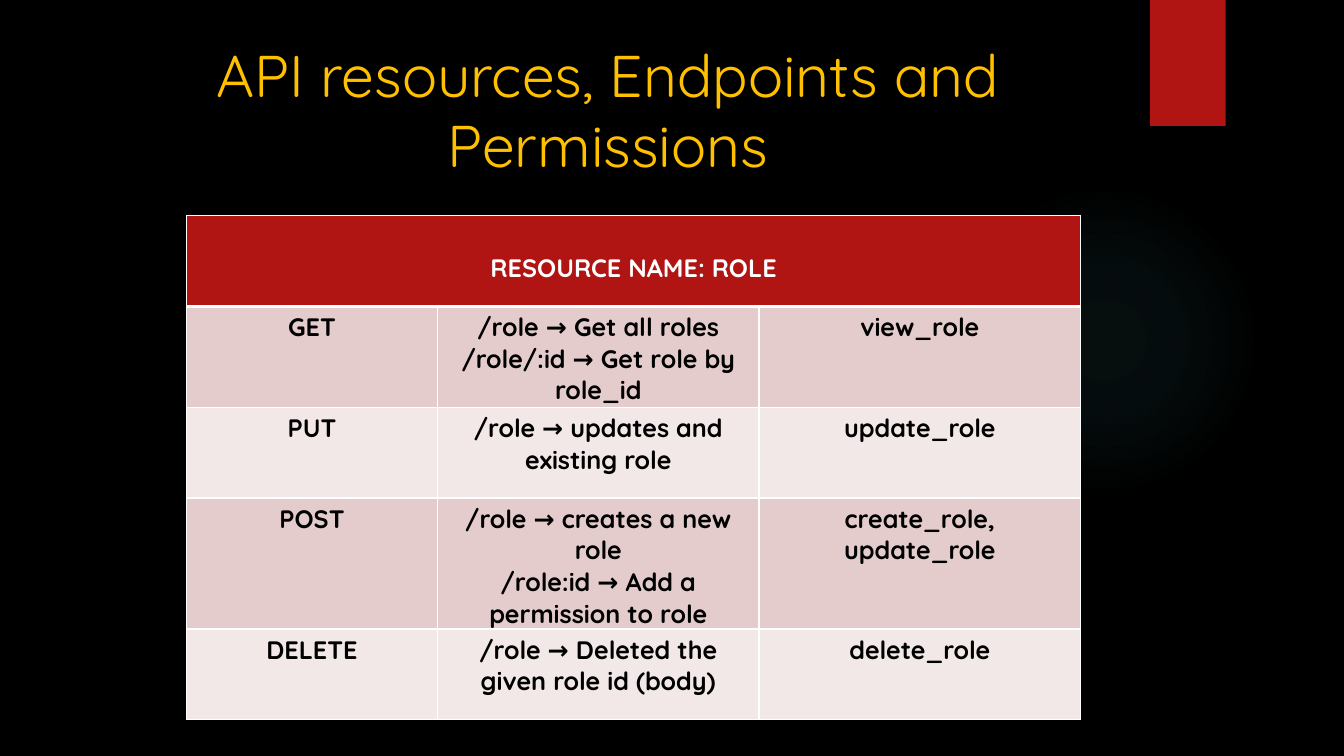
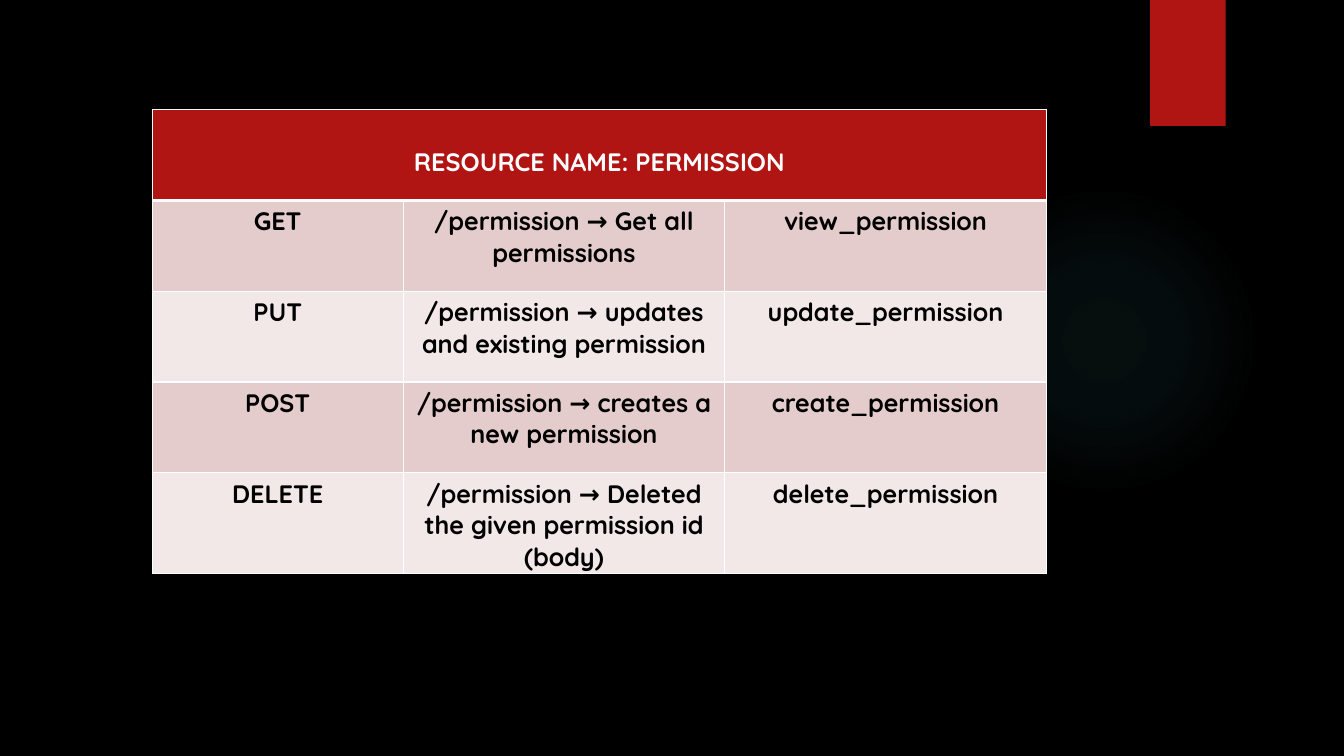
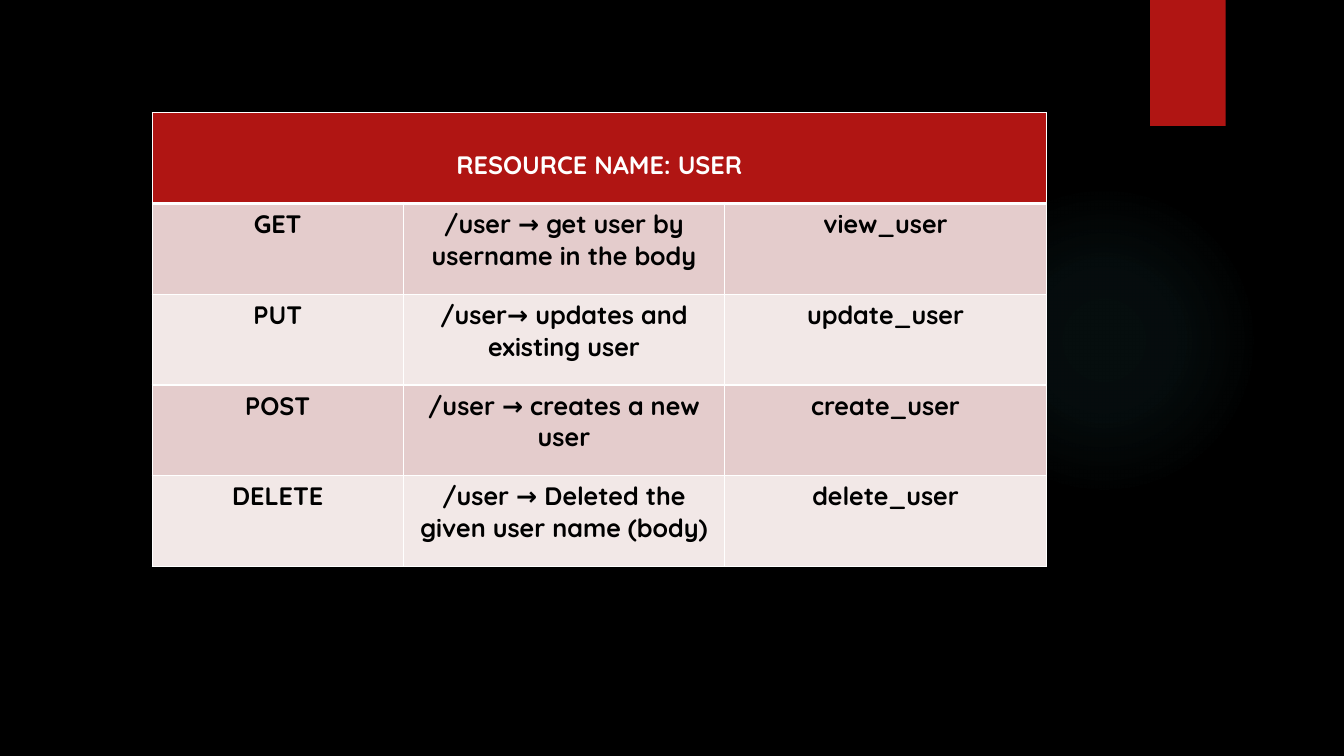
from dataclasses import dataclass

from lxml.etree import SubElement
from pptx import Presentation
from pptx.dml.color import RGBColor as RGB
from pptx.enum.shapes import MSO_SHAPE as SHAPE
from pptx.enum.text import MSO_ANCHOR as ANCHOR, PP_ALIGN as ALIGN
from pptx.oxml import parse_xml
from pptx.oxml.ns import nsdecls, qn
from pptx.util import Pt


@dataclass(frozen=True)
class Theme:
    font: str = "Quicksand"
    back: str = "000000"
    accent: str = "B01513"
    glow: str = "50B9C1"
    title: str = "FFC000"
    white: str = "FFFFFF"
    ink: str = "000000"
    bands: tuple = ("E4CCCC", "F2E8E7")
    title_size: float = 42
    table_size: float = 18
    thin: float = 1
    thick: float = 3


T = Theme()
GLOW_BOX = (677.5, 131.8, 221.8, 221.8)
GLOW_STOPS = ((0, 7), (36, 6), (69, 0))  # position and opacity in percent
RIBBON_BOX = (821.5, 0, 54, 90)
TITLE_BOX = (74.2, 23.8, 720, 82.8)
COLUMNS = (179.3, 229.7, 229.7)
ROW_HEIGHT = 64.8
HEADER_INSET = 26.1
METHODS = ("GET", "PUT", "POST", "DELETE")


def points(box):
    return [Pt(v) for v in box]


def write(tf, lines, size, color, bold=False):
    """Fill a text frame with one centred paragraph for each line."""
    tf.word_wrap = True
    font = {"name": T.font, "size": Pt(size), "bold": bold}
    for i, line in enumerate(lines):
        p = tf.paragraphs[0] if i == 0 else tf.add_paragraph()
        p.alignment = ALIGN.CENTER
        r = p.add_run()
        r.text = line
        for name, value in font.items():
            setattr(r.font, name, value)
        r.font.color.rgb = RGB.from_string(color)


def add_plain(slide, kind, box):
    s = slide.shapes.add_shape(kind, *points(box))
    s.shadow.inherit = False
    s.line.fill.background()
    return s


def add_glow(slide, box):
    s = add_plain(slide, SHAPE.OVAL, box)
    stops = "".join(
        f'<a:gs pos="{pos * 1000}"><a:srgbClr val="{T.glow}">'
        f'<a:alpha val="{alpha * 1000}"/></a:srgbClr></a:gs>'
        for pos, alpha in GLOW_STOPS)
    radial = parse_xml(
        f'<a:gradFill {nsdecls("a")} rotWithShape="1"><a:gsLst>{stops}</a:gsLst>'
        '<a:path path="circle">'
        '<a:fillToRect l="50000" t="50000" r="50000" b="50000"/>'
        '</a:path></a:gradFill>')
    s.fill.gradient()
    props = s._element.spPr
    props.replace(props.find(qn("a:gradFill")), radial)


def add_ribbon(slide, box):
    s = add_plain(slide, SHAPE.RECTANGLE, box)
    s.fill.solid()
    s.fill.fore_color.rgb = RGB.from_string(T.accent)


def add_title(slide, text, box):
    tf = slide.shapes.add_textbox(*points(box)).text_frame
    tf.vertical_anchor = ANCHOR.TOP
    write(tf, [text], T.title_size, T.title)


def style_cell(cell, color, top, bottom):
    """Give a cell white borders and a plain fill."""
    props = cell._tc.get_or_add_tcPr()
    for side, width in (("L", T.thin), ("R", T.thin), ("T", top), ("B", bottom)):
        ln = SubElement(props, qn(f"a:ln{side}"), w=str(Pt(width)))
        SubElement(SubElement(ln, qn("a:solidFill")), qn("a:srgbClr"), val=T.white)
    cell.fill.solid()
    cell.fill.fore_color.rgb = RGB.from_string(color)


def add_resource_table(slide, resource, endpoints, permissions, left, top):
    """Add a header across all columns and one row for each method."""
    rows = len(METHODS) + 1
    box = (left, top, sum(COLUMNS), rows * ROW_HEIGHT)
    table = slide.shapes.add_table(rows, len(COLUMNS), *points(box)).table
    table.first_row = table.horz_banding = False
    for column, width in zip(table.columns, COLUMNS):
        column.width = Pt(width)

    for i, row in enumerate(table.rows):
        row.height = Pt(ROW_HEIGHT)
        color = T.bands[(i - 1) % 2] if i else T.accent
        for cell in row.cells:
            style_cell(cell, color, top=T.thick if i == 1 else T.thin,
                       bottom=T.thin if i else T.thick)

    header = table.cell(0, 0)
    header.merge(table.cell(0, len(COLUMNS) - 1))
    header.margin_top = Pt(HEADER_INSET)
    write(header.text_frame, [f"RESOURCE NAME: {resource}"],
          T.table_size, T.white, bold=True)

    for i, entry in enumerate(zip(METHODS, endpoints, permissions), 1):
        for j, text in enumerate(entry):
            write(table.cell(i, j).text_frame, text.split("\n"),
                  T.table_size, T.ink, bold=True)


def add_resource_slide(prs, resource, endpoints, permissions, left, top, title=None):
    slide = prs.slides.add_slide(prs.slide_layouts[6])
    add_glow(slide, GLOW_BOX)
    add_ribbon(slide, RIBBON_BOX)
    if title:
        add_title(slide, title, TITLE_BOX)
    add_resource_table(slide, resource, endpoints, permissions, left, top)


SLIDES = (
    dict(
        title="API resources, Endpoints and Permissions",
        resource="ROLE", left=133.2, top=154.1,
        endpoints=("/role → Get all roles\n/role/:id → Get role by role_id",
                   "/role → updates and existing role",
                   "/role → creates a new role\n/role:id → Add a permission to role",
                   "/role → Deleted the given role id (body)"),
        permissions=("view_role", "update_role",
                     "create_role, update_role", "delete_role")),
    dict(
        resource="PERMISSION", left=108.7, top=78.5,
        endpoints=("/permission → Get all permissions",
                   "/permission → updates and existing permission",
                   "/permission → creates a new permission",
                   "/permission → Deleted the given permission id (body)"),
        permissions=("view_permission", "update_permission",
                     "create_permission", "delete_permission")),
    dict(
        resource="USER", left=108.7, top=80.6,
        endpoints=("/user → get user by username in the body",
                   "/user→ updates and existing user",
                   "/user → creates a new user",
                   "/user → Deleted the given user name (body)"),
        permissions=("view_user", "update_user", "create_user", "delete_user")),
)


def main():
    prs = Presentation()
    prs.slide_width, prs.slide_height = Pt(960), Pt(540)
    back = prs.slide_master.background.fill
    back.solid()
    back.fore_color.rgb = RGB.from_string(T.back)
    for content in SLIDES:
        add_resource_slide(prs, **content)
    prs.save("out.pptx")


if __name__ == "__main__":
    main()
